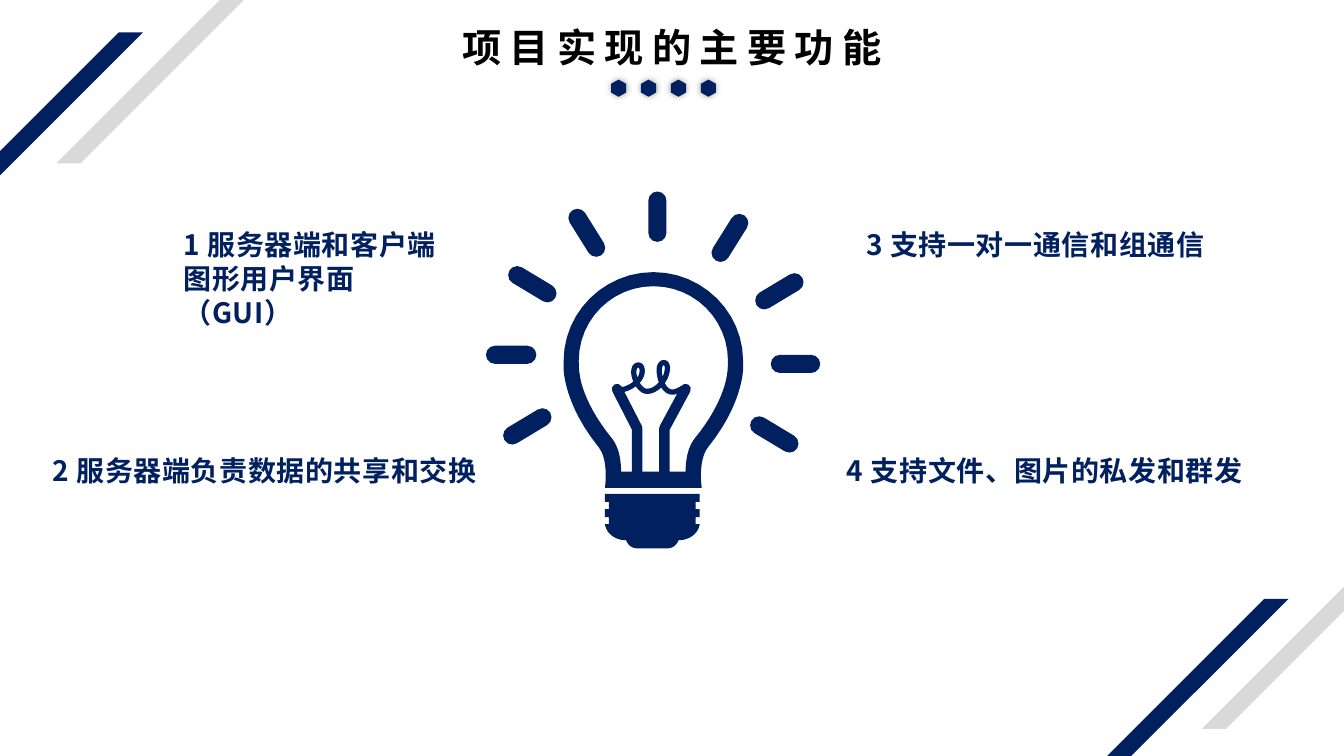
import dataclasses

import lxml.etree
import pptx
import pptx.dml.color
import pptx.enum.shapes
import pptx.enum.text
import pptx.oxml.ns
import pptx.util

Inches = pptx.util.Inches
SHAPE = pptx.enum.shapes.MSO_SHAPE


@dataclasses.dataclass(frozen=True)
class Theme:
    """Colours, font and type sizes of the slide."""
    navy: str = "002060"
    grey: str = "D9D9D9"
    black: str = "000000"
    font: str = "Noto Sans CJK SC"
    title: int = 28
    label: int = 20


THEME = Theme()

LABELS = [
    ("1 服务器端和客户端图形用户界面（GUI）", 1.82, 2.26, 2.64, 0.67),
    ("2 服务器端负责数据的共享和交换", 0.52, 4.5, 4.37, 0.34),
    ("3 支持一对一通信和组通信", 8.59, 2.26, 3.63, 0.34),
    ("4 支持文件、图片的私发和群发", 8.4, 4.5, 4, 0.34),
]
STRIPES = [(-1.41, 0.32, THEME.navy), (0.56, -0.97, THEME.grey),
           (9.95, 5.94, THEME.navy), (11.92, 4.64, THEME.grey)]
RAYS = [(6.52, 2.15, 0.5, 90), (5.82, 2.31, 0.53, 58), (5.28, 2.82, 0.53, 31),
        (5.07, 3.52, 0.5, 0), (5.23, 4.23, 0.53, -31), (7.68, 4.31, 0.53, 31),
        (7.89, 3.61, 0.49, 0), (7.73, 2.89, 0.53, -31), (7.24, 2.36, 0.53, -58)]
GLASS_OUTER = [(6.48, 2.7), (5.99, 2.7, 5.59, 3.1, 5.59, 3.58),
               (5.59, 3.61, 5.59, 3.64, 5.59, 3.66),
               (5.59, 3.68, 5.6, 4.02, 5.94, 4.44),
               (6.04, 4.57, 6, 4.84, 6, 4.84)]
GLASS_INNER = [(6.48, 2.84), (6.07, 2.84, 5.74, 3.17, 5.74, 3.58),
               (5.74, 3.6, 5.74, 3.66, 5.75, 3.72),
               (5.76, 3.81, 5.83, 4.06, 6.07, 4.35),
               (6.14, 4.44, 6.16, 4.57, 6.16, 4.68)]
SCREW_CAP = [(6, 4.9), (6, 4.98), (6.04, 4.98), (6.04, 5.05), (6, 5.05),
             (6, 5.13), (6.04, 5.13), (6.04, 5.2), (6, 5.2),
             (6.01, 5.28, 6.09, 5.36, 6.21, 5.36),
             (6.23, 5.41, 6.27, 5.44, 6.32, 5.44)]
STEMS = [[(6.12, 3.86), (6.32, 4.25), (6.32, 4.7)],
         [(6.8, 3.86), (6.59, 4.25), (6.59, 4.7)]]
FILAMENT = [(6.14, 3.87), (6.22, 3.87, 6.37, 3.79, 6.37, 3.68),
            (6.37, 3.6, 6.3, 3.61, 6.29, 3.66),
            (6.27, 3.73, 6.33, 3.86, 6.4, 3.88),
            (6.5, 3.9, 6.62, 3.77, 6.62, 3.65),
            (6.62, 3.58, 6.55, 3.58, 6.54, 3.65),
            (6.53, 3.72, 6.57, 3.89, 6.67, 3.89),
            (6.7, 3.89, 6.74, 3.87, 6.77, 3.85)]


def rgb(value):
    """Return a colour for a hex string."""
    return pptx.dml.color.RGBColor.from_string(value)


def outline(steps, parts=12):
    """Turn points and cubic curve steps into a list of points."""
    points = []
    for step in steps:
        if len(step) == 2:
            points.append(step)
            continue
        start, c1, c2, end = points[-1], step[:2], step[2:4], step[4:]
        for i in range(1, parts + 1):
            t = i / parts
            points.append(tuple(
                (1 - t) ** 3 * a + 3 * t * (1 - t) ** 2 * b + 3 * t * t * (1 - t) * c + t ** 3 * d
                for a, b, c, d in zip(start, c1, c2, end)))
    return points


def mirrored(steps, axis):
    """Return a closed outline from its left half."""
    left = outline(steps)
    return left + [(2 * axis - x, y) for x, y in reversed(left)]


def paint(sp, color):
    """Give a shape a flat fill without line or shadow."""
    sp.shadow.inherit = False
    sp.fill.solid()
    sp.fill.fore_color.rgb = rgb(color)
    sp.line.fill.background()


def freeform(s, contours, close=True):
    """Build one freeform from contours in inches."""
    builder = None
    for contour in contours:
        points = [(Inches(x), Inches(y)) for x, y in contour]
        if builder is None:
            builder = s.shapes.build_freeform(*points[0], scale=1.0)
        else:
            builder.move_to(*points[0])
        builder.add_line_segments(points[1:], close=close)
    return builder.convert_to_shape()


def add_stroke(s, steps, width):
    """Draw an open round-ended line."""
    sp = freeform(s, [outline(steps)], close=False)
    sp.shadow.inherit = False
    sp.fill.background()
    sp.line.color.rgb = rgb(THEME.navy)
    sp.line.width = pptx.util.Pt(width)
    sp.line._get_or_add_ln().set("cap", "rnd")


def add_preset(s, kind, x, y, w, h, color, adjust, rotation=0):
    """Add a flat preset shape."""
    sp = s.shapes.add_shape(kind, Inches(x), Inches(y), Inches(w), Inches(h))
    paint(sp, color)
    sp.adjustments[0] = adjust
    sp.rotation = rotation
    return sp


def add_glow(sp):
    """Add a soft centred shadow."""
    effects = sp._element.spPr.find(pptx.oxml.ns.qn("a:effectLst"))
    shadow = lxml.etree.SubElement(effects, pptx.oxml.ns.qn("a:outerShdw"),
                                   blurRad=str(pptx.util.Pt(5)), dist="0", algn="ctr")
    color = lxml.etree.SubElement(shadow, pptx.oxml.ns.qn("a:srgbClr"), val=THEME.black)
    lxml.etree.SubElement(color, pptx.oxml.ns.qn("a:alpha"), val="40000")


def fill_text(sp, text, box, size, color, spacing, align):
    """Place a placeholder and set its formatted text."""
    sp.left, sp.top, sp.width, sp.height = [Inches(v) for v in box]
    tf = sp.text_frame
    tf.text = text
    tf.auto_size = pptx.enum.text.MSO_AUTO_SIZE.NONE
    tf.vertical_anchor = pptx.enum.text.MSO_ANCHOR.TOP
    p = tf.paragraphs[0]
    p.alignment = align
    p.line_spacing = 1.0
    p.space_before = pptx.util.Pt(0)
    pPr = p._p.get_or_add_pPr()
    pPr.set("marL", "0")
    pPr.set("indent", "0")
    lxml.etree.SubElement(pPr, pptx.oxml.ns.qn("a:buNone"))
    r = p.runs[0]
    r.font.size = pptx.util.Pt(size)
    r.font.bold = True
    r.font.color.rgb = rgb(color)
    r.font.name = THEME.font
    rPr = r._r.get_or_add_rPr()
    rPr.set("spc", str(round(spacing * 100)))
    lxml.etree.SubElement(rPr, pptx.oxml.ns.qn("a:ea"), typeface=THEME.font)
    return tf


def add_bulb(s):
    """Draw the light bulb with its rays."""
    for cx, cy, length, angle in RAYS:
        add_preset(s, SHAPE.ROUNDED_RECTANGLE, cx - length / 2, cy - 0.09, length, 0.18,
                   THEME.navy, 0.5, angle)
    paint(freeform(s, [mirrored(GLASS_OUTER, 6.48), mirrored(GLASS_INNER, 6.48)]), THEME.navy)
    paint(freeform(s, [mirrored(SCREW_CAP, 6.47)]), THEME.navy)
    for stem in STEMS:
        add_stroke(s, stem, 7.5)
    add_stroke(s, FILAMENT, 3.75)


def main():
    """Build and save the slide."""
    prs = pptx.Presentation()
    prs.slide_width, prs.slide_height = Inches(13.33), Inches(7.5)
    s = prs.slides.add_slide(prs.slide_layouts.get_by_name("Comparison"))
    for x, y, color in STRIPES:
        add_preset(s, SHAPE.PARALLELOGRAM, x, y, 2.83, 2.59, color, 1.0)
    tf = fill_text(s.shapes.title, "项目实现的主要功能", (4.44, 0.18, 4.45, 0.57),
                   THEME.title, THEME.black, 6, pptx.enum.text.PP_ALIGN.CENTER)
    tf.word_wrap = False
    for idx, (text, *box) in enumerate(LABELS, 1):
        tf = fill_text(s.placeholders[idx], text, box, THEME.label, THEME.navy, 0.4,
                       pptx.enum.text.PP_ALIGN.LEFT)
        tf.margin_left = tf.margin_right = tf.margin_top = tf.margin_bottom = 0
    for i in range(4):
        add_glow(add_preset(s, SHAPE.HEXAGON, 6.05 + i * 0.297, 0.8, 0.17, 0.15,
                            THEME.navy, 0.28, 90))
    add_bulb(s)
    prs.save("out.pptx")


if __name__ == "__main__":
    main()
